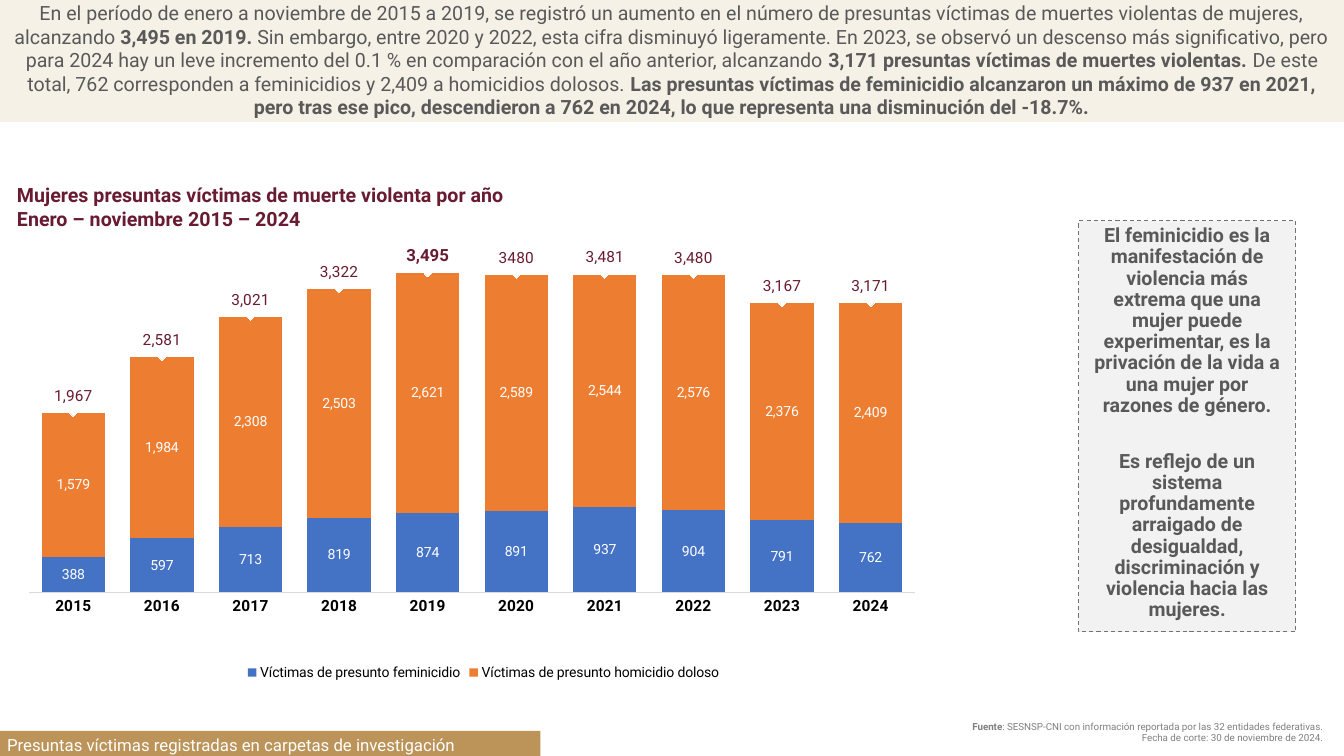
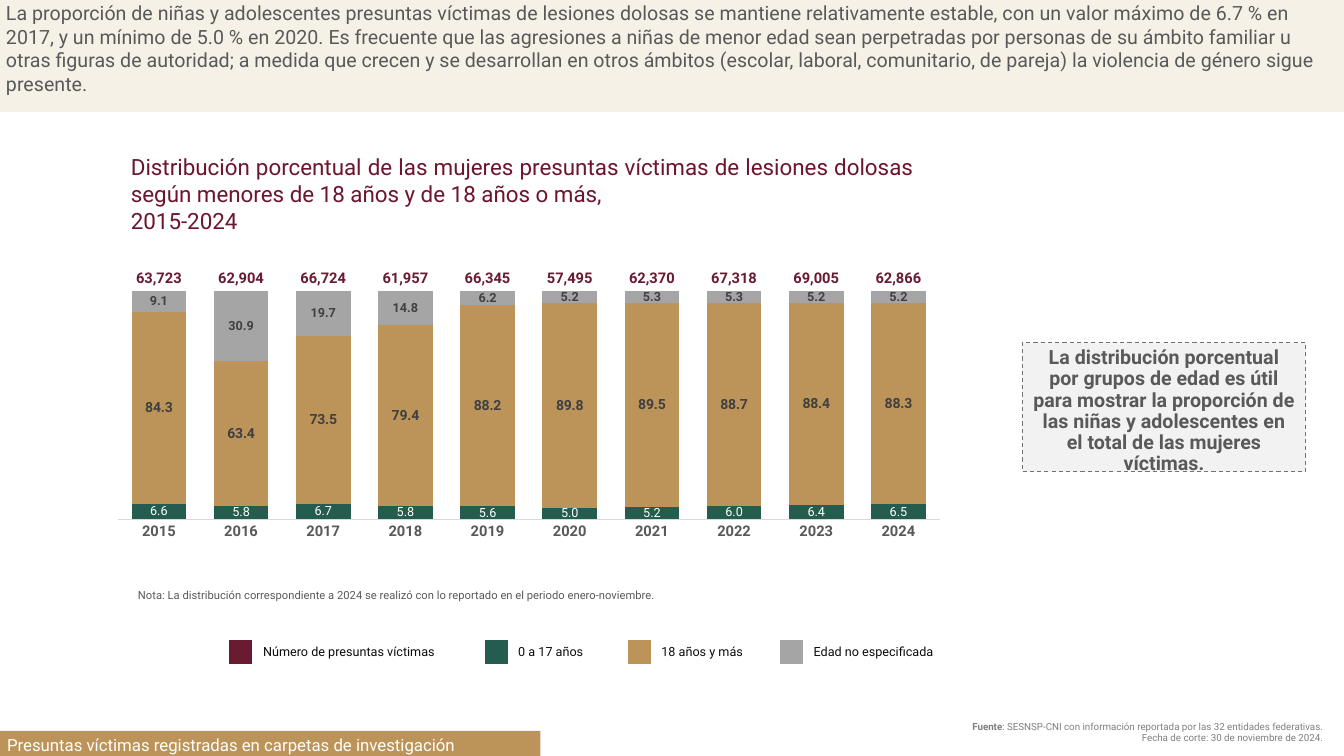
from pptx import Presentation
from pptx.chart.data import CategoryChartData
from pptx.dml.color import RGBColor
from pptx.enum.chart import XL_CHART_TYPE, XL_LABEL_POSITION, XL_LEGEND_POSITION
from pptx.enum.chart import XL_MARKER_STYLE, XL_TICK_MARK
from pptx.enum.dml import MSO_LINE
from pptx.enum.shapes import MSO_SHAPE
from pptx.enum.text import MSO_ANCHOR, PP_ALIGN
from pptx.oxml import parse_xml
from pptx.oxml.ns import nsdecls, qn
from pptx.util import Inches, Pt

THEME = {
    "font": "Roboto",
    "hue": {
        "wine": "691B31", "plum": "6E152E", "gold": "BC945A", "sand": "DEC9A2",
        "green": "245C4F", "blue": "4472C4", "orange": "ED7D31", "ash": "A5A5A5",
        "text": "595959", "gray": "808080", "edge": "767171", "rule": "D9D9D9",
        "dark": "404040", "ink": "0D0D0D", "black": "000000", "white": "FFFFFF",
    },
    "look": {  # size, colour, bold
        "band": (14, "text", False), "head": (14, "wine", True),
        "title": (16, "plum", False), "box": (14, "text", True),
        "foot": (12, "white", False), "source": (7, "gray", False),
        "note": (8, "text", False), "key": (9, "ink", False),
        "legend": (10, "black", False), "years": (11, "black", True),
        "bar": (10, "white", False), "total": (11, "wine", False),
        "peak": (12, "wine", True), "ages": (10.5, "text", True),
        "minor": (9, "white", False), "adult": (10, "dark", True),
        "other": (9, "dark", True), "sum": (10.5, "wine", True),
    },
}
HUE = {name: RGBColor.from_string(code) for name, code in THEME["hue"].items()}
YEARS = [str(year) for year in range(2015, 2025)]
FOOT = "Presuntas víctimas registradas en carpetas de investigación"
SOURCE = [
    "**Fuente**: SESNSP-CNI con información reportada por las 32 entidades federativas.",
    "Fecha de corte: 30 de noviembre de 2024.",
]

SLIDES = [
    {
        "band": (1.23, PP_ALIGN.CENTER,
                 "En el período de enero a noviembre de 2015 a 2019, se registró un aumento en el "
                 "número de presuntas víctimas de muertes violentas de mujeres, alcanzando "
                 "**3,495 en 2019.** Sin embargo, entre 2020 y 2022, esta cifra disminuyó "
                 "ligeramente. En 2023, se observó un descenso más significativo, pero para 2024 "
                 "hay un leve incremento del 0.1 % en comparación con el año anterior, alcanzando "
                 "**3,171 presuntas víctimas de muertes violentas. **De este total, 762 "
                 "corresponden a feminicidios y 2,409 a homicidios dolosos. **Las presuntas "
                 "víctimas de feminicidio alcanzaron un máximo de 937 en 2021, pero tras ese "
                 "pico, descendieron a 762 en 2024, lo que representa una disminución del "
                 "-18.7%.**"),
        "title": ((0.07, 1.77, 7.65, 0.57), "head", PP_ALIGN.LEFT,
                  ["Mujeres presuntas víctimas de muerte violenta por año",
                   "Enero – noviembre 2015 – 2024"]),
        "box": ((10.7, 2.19, 2.15, 4.08),
                ["El feminicidio es la manifestación de violencia más extrema que una mujer "
                 "puede experimentar, es la privación de la vida a una mujer por razones de "
                 "género.",
                 "Es reflejo de un sistema profundamente arraigado de desigualdad, "
                 "discriminación y violencia hacia las mujeres."]),
        "chart": {
            "at": (0.28, 2.44, 9.03, 4.35), "kind": XL_CHART_TYPE.COLUMN_STACKED,
            "plot": (0.001, 0.059, 0.973, 0.731), "gap": 40, "max": 3500,
            "axis": "years", "form": "#,##0", "group": "standard", "right": False,
            "bars": [
                ("Víctimas de presunto feminicidio", "blue", "bar",
                 [388, 597, 713, 819, 874, 891, 937, 904, 791, 762]),
                ("Víctimas de presunto homicidio doloso", "orange", "bar",
                 [1579, 1984, 2308, 2503, 2621, 2589, 2544, 2576, 2376, 2409]),
            ],
            "line": ("Total", "total",
                     [1967, 2581, 3021, 3322, 3495, 3480, 3481, 3480, 3167, 3171]),
        },
    },
    {
        "band": (1.13, PP_ALIGN.LEFT,
                 "La proporción de niñas y adolescentes presuntas víctimas de lesiones dolosas "
                 "se mantiene relativamente estable, con un valor máximo de 6.7 % en 2017, y un "
                 "mínimo de 5.0 % en 2020. Es frecuente que las agresiones a niñas de menor edad "
                 "sean perpetradas por personas de su ámbito familiar u otras figuras de "
                 "autoridad; a medida que crecen y se desarrollan en otros ámbitos (escolar, "
                 "laboral, comunitario, de pareja) la violencia de género sigue presente."),
        "title": ((1.2, 1.47, 7.96, 0.91), "title", PP_ALIGN.JUSTIFY,
                  ["Distribución porcentual de las mujeres presuntas víctimas de lesiones "
                   "dolosas según menores de 18 años y de 18 años o más,", "2015-2024"]),
        "box": ((10.14, 3.4, 2.81, 1.28),
                ["La distribución porcentual por grupos de edad es útil para mostrar la "
                 "proporción de las niñas y adolescentes en el total de las mujeres víctimas."]),
        "chart": {
            "at": (0.9, 2.46, 8.68, 3.07), "kind": XL_CHART_TYPE.COLUMN_STACKED_100,
            "plot": (0.031, 0.139, 0.939, 0.738), "gap": 50, "max": 1,
            "axis": "ages", "form": "0.0", "group": "percentStacked", "right": True,
            "bars": [
                ("0 a 17 años", "green", "minor",
                 [6.6, 5.8, 6.7, 5.8, 5.6, 5.0, 5.2, 6.0, 6.4, 6.5]),
                ("18 años y más", "gold", "adult",
                 [84.3, 63.4, 73.5, 79.4, 88.2, 89.8, 89.5, 88.7, 88.4, 88.3]),
                ("Edad no especificada", "ash", "other",
                 [9.1, 30.9, 19.7, 14.8, 6.2, 5.2, 5.3, 5.3, 5.2, 5.2]),
            ],
            "line": ("Número de presuntas víctimas", "sum",
                     [63723, 62904, 66724, 61957, 66345, 57495, 62370, 67318, 69005, 62866]),
        },
        "note": "Nota: La distribución correspondiente a 2024 se realizó con lo reportado en el "
                "periodo enero-noviembre.",
        "keys": [
            (2.27, 2.19, "wine", "Número de presuntas víctimas"),
            (4.8, 1.44, "green", "0 a 17 años"),
            (6.22, 1.52, "gold", "18 años y más"),
            (7.73, 1.58, "ash", "Edad no especificada"),
        ],
    },
]


def dress(font, look):
    """Give a font the size, colour and weight of a named look."""
    size, hue, bold = THEME["look"][look]
    values = {"name": THEME["font"], "size": Pt(size), "bold": bold}
    for key, value in values.items():
        setattr(font, key, value)
    font.color.rgb = HUE[hue]


def write(frame, texts, look, pad=None, **form):
    """Fill a text frame; pieces between ** are bold, form holds paragraph values."""
    frame.word_wrap = True
    if pad:
        for side, gap in zip(("left", "top", "right", "bottom"), pad):
            setattr(frame, "margin_" + side, Inches(gap))
    for spot, text in enumerate(texts):
        para = frame.add_paragraph() if spot else frame.paragraphs[0]
        for key, value in form.items():
            setattr(para, key, value)
        for turn, piece in enumerate(text.split("**")):
            if piece:
                run = para.add_run()
                run.text = piece
                dress(run.font, look)
                if turn % 2:
                    run.font.bold = True


deck = Presentation()
deck.slide_width, deck.slide_height = Inches(13.33), Inches(7.5)

for plan in SLIDES:
    shapes = deck.slides.add_slide(deck.slide_layouts[6]).shapes

    # Band, footer and side box
    tall, align, text = plan["band"]
    place, words = plan["box"]
    panels = [
        ((0, -0.02, 13.33, tall), "sand", 25, [text], "band", (0.06, 0.03, 0.06, 0.03),
         {"alignment": align}),
        ((0, 7.25, 5.36, 0.28), "gold", 100, [FOOT], "foot", (0.07, 0.04, 0.07, 0.04),
         {"alignment": PP_ALIGN.LEFT}),
        (place, "gray", 10, words, "box", (0.1, 0.05, 0.1, 0.05),
         {"alignment": PP_ALIGN.CENTER, "line_spacing": 0.9, "space_after": Pt(25)}),
    ]
    for at, hue, alpha, texts, look, pad, form in panels:
        panel = shapes.add_shape(MSO_SHAPE.RECTANGLE, *map(Inches, at))
        panel.shadow.inherit = False
        panel.fill.solid()
        panel.fill.fore_color.rgb = HUE[hue]
        tint = panel._element.spPr.find(".//" + qn("a:srgbClr"))
        tint.append(parse_xml(f'<a:alpha {nsdecls("a")} val="{alpha * 1000}"/>'))
        if look == "box":
            panel.line.color.rgb = HUE["edge"]
            panel.line.width = Pt(0.75)
            panel.line.dash_style = MSO_LINE.DASH
        else:
            panel.line.fill.background()
        anchor = MSO_ANCHOR.MIDDLE if look == "foot" else MSO_ANCHOR.TOP
        panel.text_frame.vertical_anchor = anchor
        write(panel.text_frame, texts, look, pad, **form)

    # Title and note
    labels = [plan["title"]]
    if "note" in plan:
        labels.append(((1.27, 5.79, 5.8, 0.24), "note", PP_ALIGN.JUSTIFY, [plan["note"]]))
    for at, look, align, texts in labels:
        label = shapes.add_textbox(*map(Inches, at))
        write(label.text_frame, texts, look, alignment=align)

    # Stacked columns with totals on an unseen line
    want = plan["chart"]
    data = CategoryChartData()
    data.categories = YEARS
    for name, hue, look, values in want["bars"]:
        data.add_series(name, values, want["form"])
    name, mark, totals = want["line"]
    data.add_series(name, totals, "#,##0")
    chart = shapes.add_chart(want["kind"], *map(Inches, want["at"]), data).chart
    chart.has_title = False
    chart.has_legend = not want["right"]
    chart.font.name, chart.font.size = "Calibri", Pt(10)
    chart.font.color.rgb = HUE["black"]

    years, scale = chart.category_axis, chart.value_axis
    years.major_tick_mark = XL_TICK_MARK.NONE
    years.format.line.color.rgb = HUE["rule"]
    years.format.line.width = Pt(0.75)
    dress(years.tick_labels.font, want["axis"])
    for key, value in {"visible": False, "has_major_gridlines": False,
                       "minimum_scale": 0, "maximum_scale": want["max"]}.items():
        setattr(scale, key, value)

    plot = chart.plots[0]
    plot.gap_width, plot.overlap, plot.vary_by_categories = want["gap"], 100, False
    bars = plot._element
    area = bars.getparent()
    ids = [node.get("val") for node in bars.findall(qn("c:axId"))]
    if want["right"]:
        ids = ["5001", "5002"]
        for kind, own, cross, side, limit in (
                ("catAx", *ids, "b", ""),
                ("valAx", *ids[::-1], "r", '<c:max val="1"/><c:min val="0"/>')):
            area.findall(qn("c:valAx"))[-1].addnext(parse_xml(
                f'<c:{kind} {nsdecls("c")}><c:axId val="{own}"/>'
                f'<c:scaling><c:orientation val="minMax"/>{limit}</c:scaling>'
                f'<c:delete val="1"/><c:axPos val="{side}"/><c:crossAx val="{cross}"/>'
                f'<c:crosses val="{"max" if side == "r" else "autoZero"}"/></c:{kind}>'))
    line = parse_xml(
        f'<c:lineChart {nsdecls("c")}><c:grouping val="{want["group"]}"/>'
        f'<c:varyColors val="0"/><c:marker val="1"/>'
        f'<c:axId val="{ids[0]}"/><c:axId val="{ids[1]}"/></c:lineChart>')
    last = bars.findall(qn("c:ser"))[-1]
    for node in last.findall(qn("c:invertIfNegative")):
        last.remove(node)
    line.insert(2, last)
    bars.addnext(line)

    for node in area.findall(qn("c:layout")):
        area.remove(node)
    spots = "".join(f'<c:{key} val="{value}"/>' for key, value in zip("xywh", want["plot"]))
    area.insert(0, parse_xml(
        f'<c:layout {nsdecls("c")}><c:manualLayout><c:layoutTarget val="inner"/>'
        f'<c:xMode val="edge"/><c:yMode val="edge"/>{spots}</c:manualLayout></c:layout>'))

    total = chart.plots[1].series[0]
    total.smooth = False
    total.format.line.fill.background()
    total.marker.style = XL_MARKER_STYLE.NONE
    looks = [look for name, hue, look, values in want["bars"]]
    forms = [want["form"]] * len(looks)
    for part, look, form in zip([*plot.series, total], looks + [mark], forms + ["#,##0"]):
        tags = part.data_labels
        for key, value in {"show_value": True, "number_format": form,
                           "number_format_is_linked": False}.items():
            setattr(tags, key, value)
        dress(tags.font, look)
    total.data_labels.position = XL_LABEL_POSITION.ABOVE
    for part, (name, hue, look, values) in zip(plot.series, want["bars"]):
        part.format.fill.solid()
        part.format.fill.fore_color.rgb = HUE[hue]

    if chart.has_legend:
        total.marker.style, total.marker.size = XL_MARKER_STYLE.DIAMOND, 5
        total.marker.format.fill.solid()
        total.marker.format.fill.fore_color.rgb = HUE["white"]
        total.marker.format.line.fill.background()
        peak, plain = (total.points[spot].data_label for spot in (4, 5))
        dress(peak.font, "peak")
        write(plain.text_frame, ["3480"], "total")
        for tag in (peak, plain):
            tag.position = XL_LABEL_POSITION.ABOVE
        legend = chart.legend
        legend.position, legend.include_in_layout = XL_LEGEND_POSITION.BOTTOM, False
        dress(legend.font, "legend")
        legend._element.find(qn("c:legendPos")).addnext(parse_xml(
            f'<c:legendEntry {nsdecls("c")}><c:idx val="2"/><c:delete val="1"/></c:legendEntry>'))

    # Colour keys and source, each a one-row table
    grids = [((x, 6.34), 0.25, [(0.24, hue, [], "key"), (wide, None, [text], "key")])
             for x, wide, hue, text in plan.get("keys", [])]
    grids.append(((8.73, 7.07), 0.31, [(4.39, "white", SOURCE, "source")]))
    for at, tall, cells in grids:
        wide = sum(cell[0] for cell in cells)
        grid = shapes.add_table(1, len(cells), *map(Inches, (*at, wide, tall))).table
        grid.first_row = grid.horz_banding = False
        for spot, (wide, hue, texts, look) in enumerate(cells):
            grid.columns[spot].width = Inches(wide)
            cell = grid.cell(0, spot)
            ends = look == "source"
            cell.vertical_anchor = MSO_ANCHOR.BOTTOM if ends else MSO_ANCHOR.MIDDLE
            cell.margin_top = cell.margin_bottom = 0
            cell.margin_left = cell.margin_right = Inches(0 if ends else 0.1)
            if hue:
                cell.fill.solid()
                cell.fill.fore_color.rgb = HUE[hue]
            else:
                cell.fill.background()
            write(cell.text_frame, texts, look,
                  alignment=PP_ALIGN.RIGHT if ends else PP_ALIGN.LEFT)
            if not texts:
                cell.text_frame.paragraphs[0]._p.append(
                    parse_xml(f'<a:endParaRPr {nsdecls("a")} sz="900"/>'))

deck.save("out.pptx")
